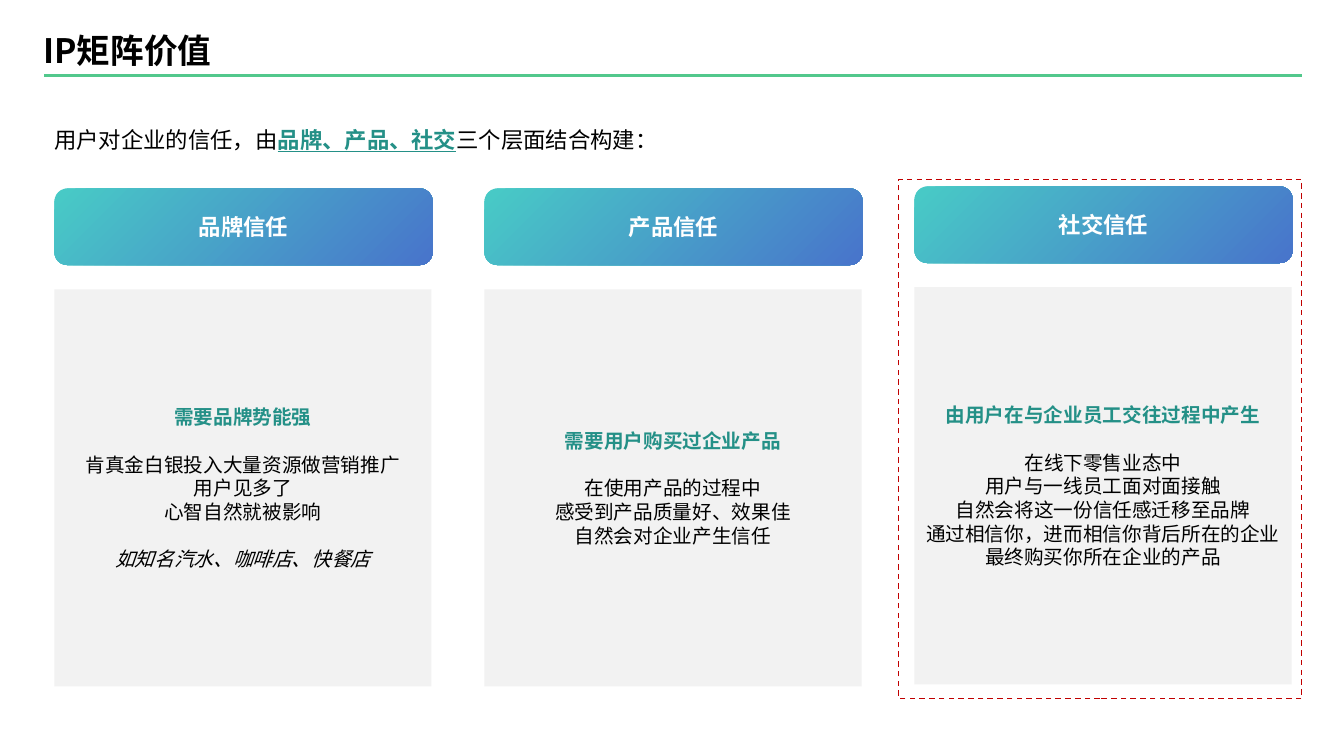
from pptx import Presentation
from pptx.dml.color import RGBColor
from pptx.enum import dml, shapes, text
from pptx.oxml import ns, xmlchemy
from pptx.util import Inches, Pt

FONT = "Noto Sans CJK SC"
COLORS = {
    "black": "000000", "white": "FFFFFF", "accent": "249087", "rule": "52C88C",
    "mint": "48CBC6", "blue": "4874CB", "panel": "F2F2F2", "red": "C00000",
}
LINE_HEIGHT = Pt(16.9)

# Column heading, top, key point, groups of lines (style, lines)
COLUMNS = [
    ("品牌信任", 1.87, "需要品牌势能强", [
        (False, ["肯真金白银投入大量资源做营销推广", "用户见多了", "心智自然就被影响"]),
        (True, ["如知名汽水、咖啡店、快餐店"])]),
    ("产品信任", 1.87, "需要用户购买过企业产品", [
        (False, ["在使用产品的过程中", "感受到产品质量好、效果佳", "自然会对企业产生信任"])]),
    ("社交信任", 1.85, "由用户在与企业员工交往过程中产生", [
        (False, ["在线下零售业态中", "用户与一线员工面对面接触", "自然会将这一份信任感迁移至品牌",
                 "通过相信你，进而相信你背后所在的企业", "最终购买你所在企业的产品"])]),
]


def rgb(name):
    return RGBColor.from_string(COLORS[name])


def add_run(p, words, size, color="black", bold=False, italic=False, underline=False):
    r = p.add_run()
    r.text = words
    f = r.font
    f.name, f.size, f.bold, f.italic, f.underline = FONT, Pt(size), bold, italic, underline
    f.color.rgb = rgb(color)
    ea = xmlchemy.OxmlElement("a:ea")
    ea.set("typeface", FONT)
    r._r.get_or_add_rPr().find(ns.qn("a:latin")).addnext(ea)


def set_frame(tf):
    tf.word_wrap = True
    tf.auto_size = text.MSO_AUTO_SIZE.NONE
    tf.vertical_anchor = text.MSO_ANCHOR.MIDDLE
    return tf


def add_box(s, kind, left, top, width, height):
    sp = s.shapes.add_shape(kind, Inches(left), Inches(top), Inches(width), Inches(height))
    sp.shadow.inherit = False
    sp.line.fill.background()
    return sp


def add_title(s, words):
    sp = s.shapes.title
    sp.left, sp.top, sp.width, sp.height = Inches(0.33), Inches(0.25), Inches(4.44), Inches(0.5)
    p = set_frame(sp.text_frame).paragraphs[0]
    p.alignment = text.PP_ALIGN.LEFT
    add_run(p, words, 24, bold=True)


def add_rule(s):
    line = s.shapes.add_connector(
        shapes.MSO_CONNECTOR.STRAIGHT, Inches(0.44), Inches(0.75), Inches(12.91), Inches(0.75))
    line.line.color.rgb = rgb("rule")
    line.line.width = Pt(2.5)
    line._element.spPr.append(xmlchemy.OxmlElement("a:effectLst"))


def add_intro(s):
    sp = s.shapes.add_textbox(Inches(0.44), Inches(1.2), Inches(12.47), Inches(0.37))
    p = set_frame(sp.text_frame).paragraphs[0]
    add_run(p, "用户对企业的信任，由", 16)
    add_run(p, "品牌、产品、社交", 16, "accent", bold=True, underline=True)
    add_run(p, "三个层面结合构建：", 16)


def add_heading(s, left, top, words):
    sp = add_box(s, shapes.MSO_SHAPE.ROUNDED_RECTANGLE, left, top, 3.75, 0.76)
    sp.fill.gradient()
    sp.fill.gradient_angle = 315
    for stop, color in zip(sp.fill.gradient_stops, ("mint", "blue")):
        stop.color.rgb = rgb(color)
    p = set_frame(sp.text_frame).paragraphs[0]
    p.alignment = text.PP_ALIGN.CENTER
    add_run(p, words, 16, "white", bold=True)


def add_panel(s, left, top, key_point, groups):
    sp = add_box(s, shapes.MSO_SHAPE.RECTANGLE, left, top, 3.74, 3.94)
    sp.fill.solid()
    sp.fill.fore_color.rgb = rgb("panel")
    tf = set_frame(sp.text_frame)
    add_run(tf.paragraphs[0], key_point, 14, "accent", bold=True)
    for italic, lines in groups:
        for i, words in enumerate(lines):
            p = tf.add_paragraph()
            if i == 0:
                p.space_before = LINE_HEIGHT
            add_run(p, words, 14, italic=italic)
    for p in tf.paragraphs:
        p.alignment = text.PP_ALIGN.CENTER
        p.line_spacing = LINE_HEIGHT


def add_highlight(s):
    sp = add_box(s, shapes.MSO_SHAPE.RECTANGLE, 8.91, 1.78, 4, 5.15)
    sp.fill.background()
    sp.line.color.rgb = rgb("red")
    sp.line.width = Pt(1)
    sp.line.dash_style = dml.MSO_LINE.DASH


def main():
    prs = Presentation()
    prs.slide_width, prs.slide_height = Inches(13.33), Inches(7.5)
    s = prs.slides.add_slide(prs.slide_layouts[5])

    # Title and introduction
    add_title(s, "IP矩阵价值")
    add_rule(s)
    add_intro(s)

    # Three kinds of trust, the last one highlighted
    for i, (heading, top, key_point, groups) in enumerate(COLUMNS):
        left = 0.54 + i * 4.265
        add_heading(s, left, top, heading)
        add_panel(s, left, top + 1, key_point, groups)
    add_highlight(s)

    prs.save("out.pptx")


if __name__ == "__main__":
    main()
